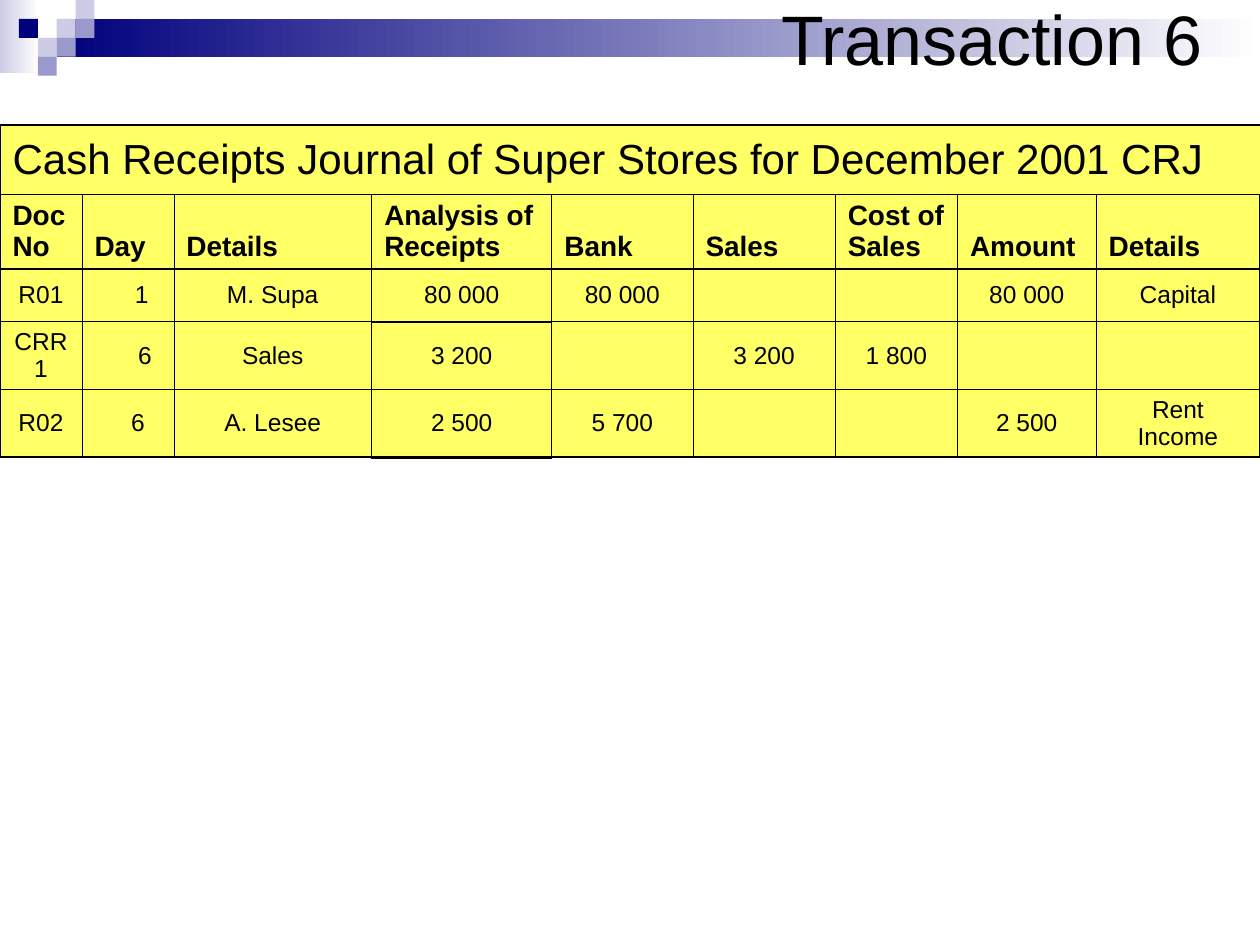
from dataclasses import dataclass

from lxml import etree
from pptx import Presentation
from pptx.dml.color import RGBColor
from pptx.enum.shapes import MSO_SHAPE
from pptx.enum.text import MSO_ANCHOR, MSO_AUTO_SIZE, PP_ALIGN
from pptx.oxml.ns import qn
from pptx.util import Inches, Pt

RECTANGLE = MSO_SHAPE.RECTANGLE
TOP, MIDDLE, BOTTOM = MSO_ANCHOR.TOP, MSO_ANCHOR.MIDDLE, MSO_ANCHOR.BOTTOM
LEFT, CENTER = PP_ALIGN.LEFT, PP_ALIGN.CENTER
NO_AUTOFIT = MSO_AUTO_SIZE.NONE

FONT = "Arial"
COLORS = {
    "white": "FFFFFF",
    "black": "000000",
    "navy": "00007D",
    "lavender": "CCCCE6",
    "violet": "9999CC",
    "yellow": "FFFF66",
}

THIN, FRAME, HEAVY, CLOSING = 0.45, 1.08, 1.47, 2.21
COLUMN_WIDTHS = [0.65, 0.73, 1.57, 1.43, 1.12, 1.13, 0.97, 1.1, 1.3]
ROW_HEIGHTS = [0.55, 0.59, 0.42, 0.42, 0.38]
DAY_COLUMN, ANALYSIS_COLUMN = 1, 3
FIRST_ENTRY_ROW = 2
CELL_MARGIN = 0.1
DAY_INDENTS = [0.22, 0.27, 0.16]

JOURNAL_TITLE = "Cash Receipts Journal of Super Stores for December 2001 CRJ"
HEADINGS = ["Doc No", "Day", "Details", "Analysis of Receipts", "Bank",
            "Sales", "Cost of Sales", "Amount", "Details"]
ENTRIES = [
    ["R01", "1", "M. Supa", "80 000", "80 000", "", "", "80 000", "Capital"],
    ["CRR1", "6", "Sales", "3 200", "", "3 200", "1 800", "", ""],
    ["R02", "6", "A. Lesee", "2 500", "5 700", "", "", "2 500", "Rent Income"],
]


@dataclass(frozen=True)
class Band:
    left: float
    top: float
    width: float
    height: float
    color: str


@dataclass(frozen=True)
class Square:
    column: int
    row: int
    color: str


@dataclass(frozen=True)
class CellStyle:
    size: float
    space_before: float
    bold: bool = False
    align: PP_ALIGN = LEFT
    anchor: MSO_ANCHOR = MIDDLE


SQUARE_SIDE = 0.15
BANDS = [Band(0, 0, 0.31, 0.58, "lavender"), Band(0.45, 0.15, 9.55, 0.3, "navy")]
SQUARES = [
    Square(3, 1, "lavender"), Square(4, 0, "lavender"), Square(4, 1, "violet"),
    Square(2, 2, "lavender"), Square(1, 1, "navy"), Square(3, 2, "violet"),
    Square(2, 3, "violet"),
]
TITLE_STYLE = CellStyle(24, 0)
HEADING_STYLE = CellStyle(16, 0, bold=True, anchor=BOTTOM)
ENTRY_STYLE = CellStyle(14, 0, align=CENTER)


def rgb(name: str) -> RGBColor:
    return RGBColor.from_string(COLORS[name])


def add_block(group, left: float, top: float, width: float, height: float):
    block = group.shapes.add_shape(
        RECTANGLE, Inches(left), Inches(top), Inches(width), Inches(height))
    block.shadow.inherit = False
    block.line.fill.background()
    return block


def add_header_art(slide) -> None:
    group = slide.shapes.add_group_shape()
    for band in BANDS:
        fill = add_block(group, band.left, band.top, band.width, band.height).fill
        fill.gradient()
        fill.gradient_angle = 180
        for stop, color in zip(fill.gradient_stops, ("white", band.color)):
            stop.color.rgb = rgb(color)
    for square in SQUARES:
        block = add_block(group, square.column * SQUARE_SIDE,
                          square.row * SQUARE_SIDE, SQUARE_SIDE, SQUARE_SIDE)
        block.fill.solid()
        block.fill.fore_color.rgb = rgb(square.color)


def add_text(paragraph, text: str, size: float, bold: bool = False) -> None:
    run = paragraph.add_run()
    run.text = text
    run.font.name = FONT
    run.font.size = Pt(size)
    run.font.bold = bold
    run.font.color.rgb = rgb("black")


def format_title(slide, text: str) -> None:
    """Fill the title and bring it in front of the header art."""
    title = slide.shapes.title
    title.left, title.top = Inches(6.1), Inches(0)
    title.width, title.height = Inches(3.7), Inches(0.6)
    frame = title.text_frame
    frame.auto_size = NO_AUTOFIT
    frame.word_wrap = True
    frame.vertical_anchor = MIDDLE
    frame.paragraphs[0].alignment = LEFT
    add_text(frame.paragraphs[0], text, 40)
    title._element.getparent().append(title._element)


def edge_below(row: int, column: int) -> float:
    """Width of the rule under a row."""
    analysis = column == ANALYSIS_COLUMN
    if row == len(ROW_HEIGHTS) - 1:
        return CLOSING if analysis else FRAME
    if row == FIRST_ENTRY_ROW - 1 or (row == FIRST_ENTRY_ROW and analysis):
        return HEAVY
    return THIN


def set_borders(cell, row: int, column: int) -> None:
    last_column = len(COLUMN_WIDTHS) - 1
    widths = {
        "a:lnL": FRAME if column == 0 else THIN,
        "a:lnR": FRAME if column == last_column else THIN,
        "a:lnT": FRAME if row == 0 else edge_below(row - 1, column),
        "a:lnB": edge_below(row, column),
    }
    properties = cell._tc.get_or_add_tcPr()
    for tag, width in widths.items():
        line = etree.SubElement(properties, qn(tag), w=str(Pt(width)))
        fill = etree.SubElement(line, qn("a:solidFill"))
        etree.SubElement(fill, qn("a:srgbClr"), val=COLORS["black"])


def fill_cell(cell, text: str, style: CellStyle) -> None:
    cell.vertical_anchor = style.anchor
    paragraph = cell.text_frame.paragraphs[0]
    paragraph.alignment = style.align
    if text:
        add_text(paragraph, text, style.size, style.bold)


def add_journal(slide) -> None:
    table = slide.shapes.add_table(
        len(ROW_HEIGHTS), len(COLUMN_WIDTHS), Inches(0), Inches(0.99),
        Inches(sum(COLUMN_WIDTHS)), Inches(sum(ROW_HEIGHTS))).table
    table.first_row = table.horz_banding = False
    for column, width in zip(table.columns, COLUMN_WIDTHS):
        column.width = Inches(width)
    for row, height in zip(table.rows, ROW_HEIGHTS):
        row.height = Inches(height)

    for r, row in enumerate(table.rows):
        for c, cell in enumerate(row.cells):
            set_borders(cell, r, c)
            cell.fill.solid()
            cell.fill.fore_color.rgb = rgb("yellow")

    table.cell(0, 0).merge(table.cell(0, len(COLUMN_WIDTHS) - 1))
    fill_cell(table.cell(0, 0), JOURNAL_TITLE, TITLE_STYLE)
    for c, heading in enumerate(HEADINGS):
        fill_cell(table.cell(1, c), heading, HEADING_STYLE)
    table.cell(1, 0).vertical_anchor = TOP
    for r, (entry, indent) in enumerate(zip(ENTRIES, DAY_INDENTS), FIRST_ENTRY_ROW):
        for c, value in enumerate(entry):
            fill_cell(table.cell(r, c), value, ENTRY_STYLE)
        table.cell(r, DAY_COLUMN).margin_left = Inches(CELL_MARGIN + indent)


def main() -> None:
    presentation = Presentation()
    presentation.slide_width, presentation.slide_height = Inches(10), Inches(7.5)
    slide = presentation.slides.add_slide(presentation.slide_layouts[5])
    add_header_art(slide)
    format_title(slide, "Transaction 6")
    add_journal(slide)
    presentation.save("out.pptx")


if __name__ == "__main__":
    main()
